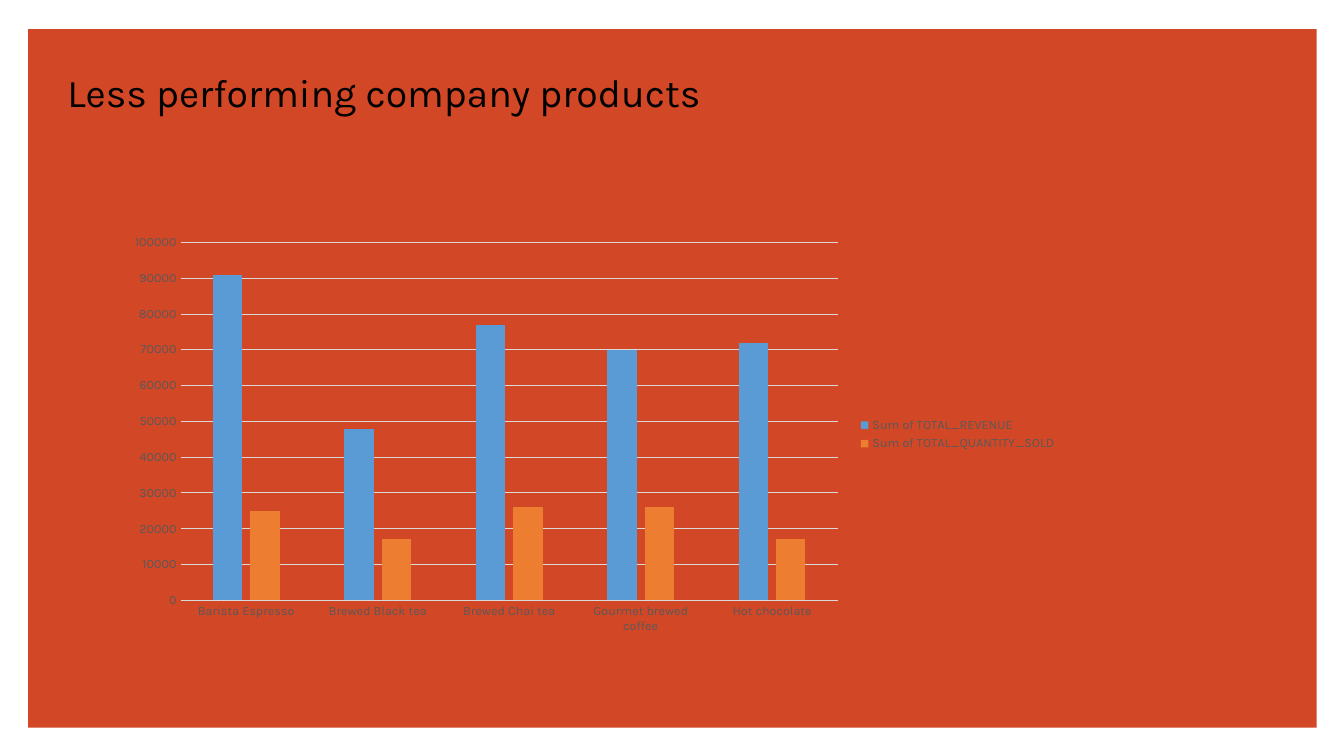
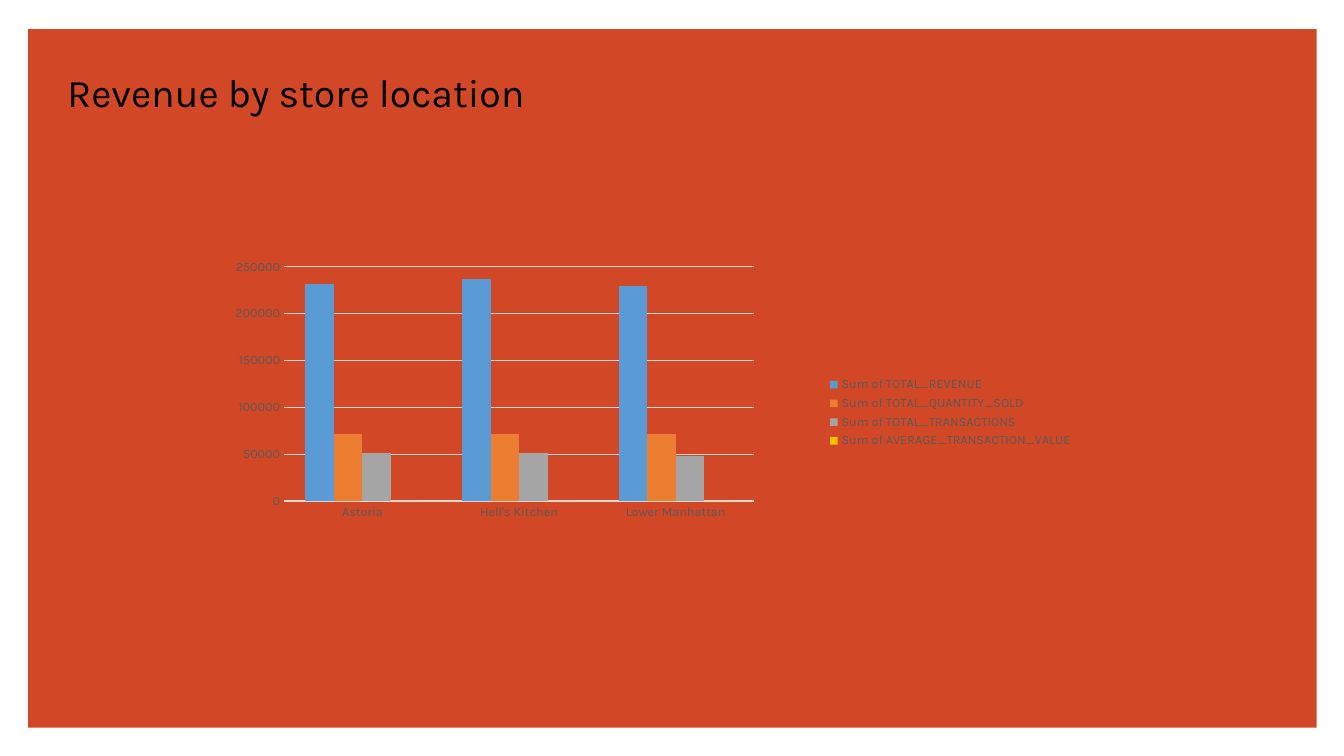
from lxml import etree
from pptx import Presentation
from pptx.chart.data import CategoryChartData
from pptx.dml.color import RGBColor
from pptx.enum.chart import XL_CHART_TYPE, XL_LEGEND_POSITION, XL_TICK_MARK
from pptx.enum.shapes import MSO_SHAPE
from pptx.enum.text import MSO_ANCHOR, PP_ALIGN
from pptx.oxml.ns import qn
from pptx.util import Inches, Pt

CLUSTERED = XL_CHART_TYPE.COLUMN_CLUSTERED
LEGEND_RIGHT = XL_LEGEND_POSITION.RIGHT
NO_TICK = XL_TICK_MARK.NONE
RECTANGLE = MSO_SHAPE.RECTANGLE
BOTTOM = MSO_ANCHOR.BOTTOM
LEFT = PP_ALIGN.LEFT

BLACK = RGBColor(0x00, 0x00, 0x00)
BRICK = RGBColor(0xD2, 0x47, 0x26)
LABEL_GREY = RGBColor(0x59, 0x59, 0x59)
GRID_GREY = RGBColor(0xD9, 0xD9, 0xD9)
BLUE = RGBColor(0x5B, 0x9B, 0xD5)
ORANGE = RGBColor(0xED, 0x7D, 0x31)
GREY = RGBColor(0xA5, 0xA5, 0xA5)
GOLD = RGBColor(0xFF, 0xC0, 0x00)
SERIES_COLOURS = (BLUE, ORANGE, GREY, GOLD)

FONT = "Karla"
REVENUE = "Sum of TOTAL_REVENUE"
QUANTITY = "Sum of TOTAL_QUANTITY_SOLD"


def apply(target, values):
    for name, value in values.items():
        setattr(target, name, value)


class Deck:
    title_size = Pt(28)
    label_size = Pt(9)
    line_width = Pt(0.75)

    def __init__(self):
        self.presentation = Presentation()
        apply(self.presentation, {"slide_width": Inches(13.33), "slide_height": Inches(7.5)})
        self.slide = None

    def add_slide(self, title):
        self.slide = self.presentation.slides.add_slide(self.presentation.slide_layouts[6])
        self.panel()
        self.title(title)

    def panel(self):
        panel = self.slide.shapes.add_shape(
            RECTANGLE, Inches(0.28), Inches(0.29), Inches(12.78), Inches(6.93))
        panel.shadow.inherit = False
        panel.fill.solid()
        panel.fill.fore_color.rgb = BRICK
        panel.line.fill.background()

    def title(self, wording):
        heading = self.slide.shapes.add_textbox(
            Inches(0.57), Inches(0.49), Inches(7.52), Inches(0.7))
        frame = heading.text_frame
        apply(frame, {"word_wrap": True, "vertical_anchor": BOTTOM, "text": wording})
        paragraph = frame.paragraphs[0]
        paragraph.alignment = LEFT
        self.style_font(paragraph.runs[0].font, self.title_size, BLACK)

    def style_font(self, font, size, colour):
        apply(font, {"name": FONT, "size": size, "bold": False})
        font.color.rgb = colour

    def style_line(self, line, colour):
        if colour is None:
            line.fill.background()
        else:
            line.width = self.line_width
            line.color.rgb = colour

    def column_chart(self, box, categories, series, top_value, step,
                     gap, overlap=0, base_line=None, plot_area=None):
        data = CategoryChartData(number_format="General")
        data.categories = categories
        for name, values in series.items():
            data.add_series(name, values)
        chart = self.slide.shapes.add_chart(CLUSTERED, *map(Inches, box), data).chart
        apply(chart, {"has_title": False, "has_legend": True})
        self.style_font(chart.font, Pt(10), BLACK)
        apply(chart.legend, {"position": LEGEND_RIGHT, "include_in_layout": False})
        self.style_font(chart.legend.font, self.label_size, LABEL_GREY)

        plot = chart.plots[0]
        apply(plot, {"gap_width": gap, "overlap": overlap, "vary_by_categories": False})
        for columns, colour in zip(plot.series, SERIES_COLOURS):
            columns.format.fill.solid()
            columns.format.fill.fore_color.rgb = colour

        apply(chart.value_axis, {"minimum_scale": 0, "maximum_scale": top_value,
                                 "major_unit": step, "has_major_gridlines": True})
        self.style_line(chart.value_axis.major_gridlines.format.line, GRID_GREY)
        for axis, colour in ((chart.category_axis, base_line), (chart.value_axis, None)):
            apply(axis, {"major_tick_mark": NO_TICK, "minor_tick_mark": NO_TICK})
            self.style_font(axis.tick_labels.font, self.label_size, LABEL_GREY)
            self.style_line(axis.format.line, colour)
        if plot_area:
            self.place_plot(chart, plot_area)

    def place_plot(self, chart, fractions):
        area = chart.element.find(".//" + qn("c:plotArea"))
        for old in area.findall(qn("c:layout")):
            area.remove(old)
        layout = etree.Element(qn("c:layout"))
        area.insert(0, layout)
        manual = etree.SubElement(layout, qn("c:manualLayout"))
        settings = {"layoutTarget": "inner", "xMode": "edge", "yMode": "edge"}
        settings.update(zip("xywh", fractions))
        for tag, value in settings.items():
            etree.SubElement(manual, qn("c:" + tag)).set("val", str(value))

    def save(self):
        self.presentation.save("out.pptx")


def main():
    deck = Deck()

    deck.add_slide("Less performing company products")
    deck.column_chart(
        (1.15, 2.25, 9.43, 4.12),
        ("Barista Espresso", "Brewed Black tea", "Brewed Chai tea",
         "Gourmet brewed coffee", "Hot chocolate"),
        {REVENUE: (91000, 48000, 77000, 70000, 72000),
         QUANTITY: (25000, 17000, 26000, 26000, 17000)},
        top_value=100000, step=10000, gap=219, overlap=-27, base_line=GRID_GREY)

    deck.add_slide("Revenue by store location")
    deck.column_chart(
        (1.42, 2.19, 9.32, 3.81),
        ("Astoria", "Hell's Kitchen", "Lower Manhattan"),
        {REVENUE: (232000, 237000, 230000),
         QUANTITY: (71000, 72000, 72000),
         "Sum of TOTAL_TRANSACTIONS": (51000, 51000, 48000),
         "Sum of AVERAGE_TRANSACTION_VALUE": (0, 0, 0)},
        top_value=250000, step=50000, gap=150, plot_area=(0.15, 0.12, 0.5, 0.61))

    deck.save()


if __name__ == "__main__":
    main()
